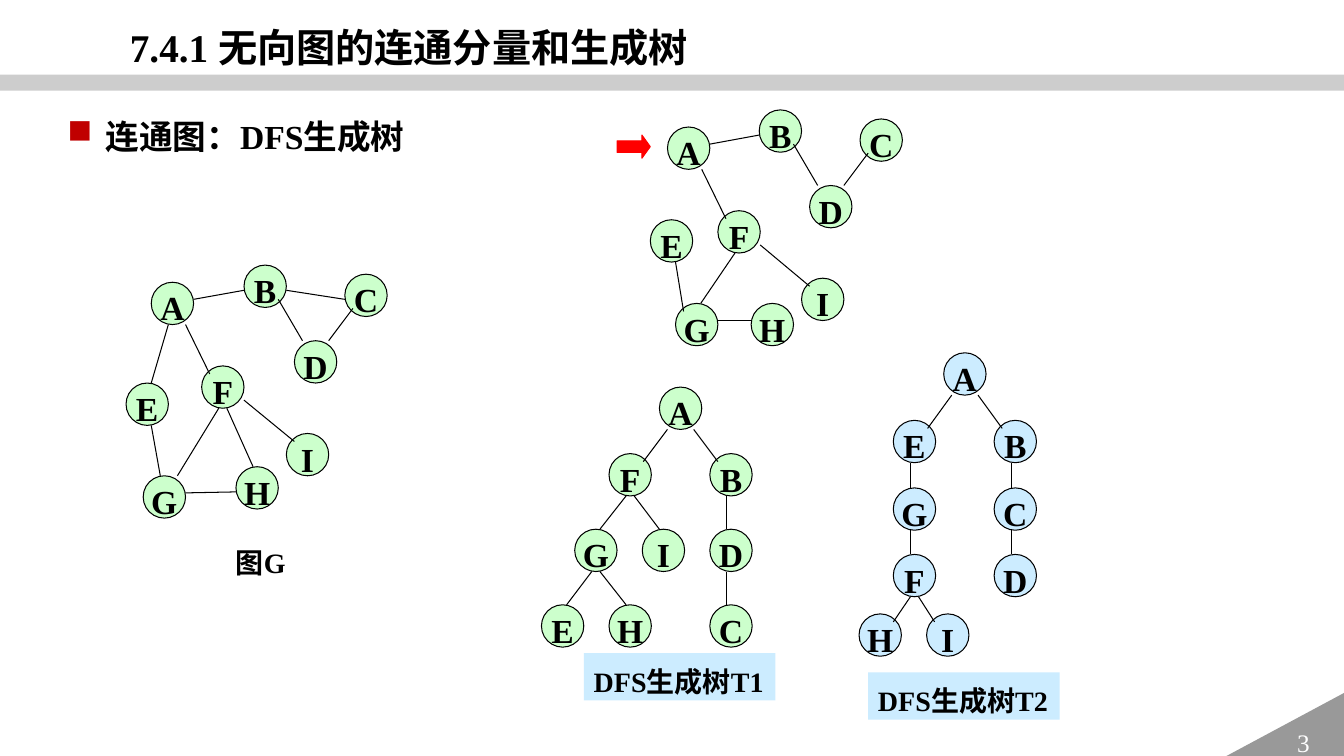
from dataclasses import dataclass
from typing import NamedTuple

import lxml.etree
import pptx
import pptx.dml.color
import pptx.enum.shapes
import pptx.enum.text
import pptx.oxml
import pptx.oxml.ns
import pptx.util

RGB = pptx.dml.color.RGBColor
KIND = pptx.enum.shapes.MSO_SHAPE
ALIGN = pptx.enum.text.PP_ALIGN
ANCHOR = pptx.enum.text.MSO_ANCHOR

BLACK = RGB(0x00, 0x00, 0x00)
WHITE = RGB(0xFF, 0xFF, 0xFF)
RED = RGB(0xFF, 0x00, 0x00)
GREEN = RGB(0xCC, 0xFF, 0xCC)
BLUE = RGB(0xCC, 0xEC, 0xFF)
BAND = RGB(0xA6, 0xA6, 0xA6)
GRAY = RGB(0x99, 0x99, 0x99)
FONT = "Times New Roman"
SCALE = 9144  # EMU in one px, 100 px to the inch
NODE = 42  # diameter of a node
STEPS = 5  # steps of the port grid across a node


class Edge(NamedTuple):
    """A line from one node to another; ports are grid steps in each node."""
    tail: str
    out: tuple[int, int]
    head: str
    into: tuple[int, int]


@dataclass
class Graph:
    fill: RGB
    nodes: dict[str, tuple[int, int]]
    edges: list[Edge]


class Label(NamedTuple):
    text: str
    box: tuple[int, int, int, int]
    size: int
    fill: RGB | None = None


# Edges found in both the graph and its spanning tree
SHARED = [
    Edge("A", (5, 2), "B", (0, 3)), Edge("A", (4, 5), "F", (1, 1)),
    Edge("D", (1, 0), "B", (4, 4)), Edge("D", (4, 0), "C", (1, 4)),
    Edge("F", (5, 4), "I", (1, 1)),
]

GRAPHS = [
    # Graph G
    Graph(GREEN, {
        "A": (150, 280), "B": (242, 263), "C": (342, 272),
        "D": (292, 338), "E": (125, 380), "F": (200, 363),
        "G": (142, 472), "H": (234, 463), "I": (284, 430),
    }, SHARED + [
        Edge("C", (0, 3), "B", (5, 3)), Edge("A", (2, 5), "E", (3, 0)),
        Edge("E", (3, 5), "G", (2, 0)), Edge("G", (5, 2), "H", (0, 3)),
        Edge("G", (4, 0), "F", (2, 5)), Edge("H", (2, 0), "F", (3, 5)),
    ]),
    # Search path through G
    Graph(GREEN, {
        "A": (662, 126), "B": (753, 109), "C": (853, 118),
        "D": (803, 184), "E": (645, 218), "F": (712, 209),
        "G": (670, 301), "H": (745, 301), "I": (795, 276),
    }, SHARED + [
        Edge("E", (3, 5), "G", (1, 1)), Edge("G", (3, 0), "F", (2, 5)),
        Edge("G", (5, 2), "H", (0, 2)),
    ]),
    # Tree T1
    Graph(GREEN, {
        "A": (654, 384), "F": (604, 450), "B": (704, 450),
        "G": (570, 525), "I": (637, 525), "D": (704, 525),
        "E": (537, 600), "H": (604, 600), "C": (704, 600),
    }, [
        Edge("A", (1, 5), "F", (4, 1)), Edge("A", (4, 5), "B", (1, 1)),
        Edge("F", (2, 5), "G", (3, 0)), Edge("F", (3, 5), "I", (2, 0)),
        Edge("G", (2, 5), "E", (3, 0)), Edge("G", (3, 5), "H", (2, 0)),
        Edge("B", (2, 5), "D", (2, 0)), Edge("D", (2, 5), "C", (2, 0)),
    ]),
    # Tree T2
    Graph(BLUE, {
        "A": (936, 350), "E": (886, 417), "B": (986, 417),
        "G": (886, 484), "C": (986, 484), "F": (886, 550),
        "D": (986, 550), "H": (852, 609), "I": (919, 609),
    }, [
        Edge("A", (1, 5), "E", (4, 1)), Edge("A", (4, 5), "B", (1, 1)),
        Edge("E", (2, 5), "G", (2, 0)), Edge("G", (2, 5), "F", (2, 0)),
        Edge("F", (2, 5), "H", (4, 1)), Edge("F", (3, 5), "I", (1, 1)),
        Edge("B", (2, 5), "C", (2, 0)), Edge("C", (2, 5), "D", (2, 0)),
    ]),
]

TITLE = Label("7.4.1 无向图的连通分量和生成树", (119, 9, 621, 62), 28)
TOPIC = Label("连通图：DFS生成树", (57, 102, 970, 54), 24)
NAMES = [
    Label("图G", (224, 530, 70, 47), 20),
    Label("DFS生成树T1", (579, 648, 190, 47), 20, BLUE),
    Label("DFS生成树T2", (861, 667, 190, 47), 20, BLUE),
]


def px(num: int) -> pptx.util.Emu:
    return pptx.util.Emu(num * SCALE)


def sub(node, tag: str, **attrs: str):
    """Add a child element with the given attributes."""
    return lxml.etree.SubElement(node, pptx.oxml.ns.qn(tag), attrs)


def shape(slide, kind, box: tuple[int, ...], fill: RGB, line: RGB | None = None):
    item = slide.shapes.add_shape(kind, *map(px, box))
    item.shadow.inherit = False
    item.fill.solid()
    item.fill.fore_color.rgb = fill
    if line is None:
        item.line.fill.background()
    else:
        item.line.color.rgb = line
        item.line.width = pptx.util.Pt(0.75)
    return item


def write(item, text: str, size: int, color: RGB = BLACK, bold: bool = True,
          align=ALIGN.LEFT, anchor=ANCHOR.TOP, wrap: bool = True, space: float = 1.2):
    frame = item.text_frame
    frame.word_wrap = wrap
    frame.vertical_anchor = anchor
    para = frame.paragraphs[0]
    para.alignment = align
    para.line_spacing = space
    run = para.add_run()
    run.text = text
    run.font.name = FONT
    run.font.size = pptx.util.Pt(size)
    run.font.bold = bold
    run.font.color.rgb = color
    return para


def label(slide, spec: Label):
    if spec.fill is None:
        item = slide.shapes.add_textbox(*map(px, spec.box))
    else:
        item = shape(slide, KIND.RECTANGLE, spec.box, spec.fill)
    return write(item, spec.text, spec.size)


def port(spot: tuple[int, int], step: tuple[int, int]) -> list[pptx.util.Emu]:
    return [px(at + round(num * NODE / STEPS)) for at, num in zip(spot, step)]


def draw(slide, graph: Graph) -> None:
    for name, spot in graph.nodes.items():
        node = shape(slide, KIND.OVAL, (*spot, NODE, NODE), graph.fill, BLACK)
        write(node, name, 24, align=ALIGN.CENTER, anchor=ANCHOR.MIDDLE, wrap=False)
    for edge in graph.edges:
        line = slide.shapes.add_connector(
            pptx.enum.shapes.MSO_CONNECTOR.STRAIGHT,
            *port(graph.nodes[edge.tail], edge.out),
            *port(graph.nodes[edge.head], edge.into))
        line.line.color.rgb = BLACK
        line.line.width = pptx.util.Pt(0.75)
        sub(line._element.spPr, "a:effectLst")


def main() -> None:
    deck = pptx.Presentation()
    deck.slide_width, deck.slide_height = px(1333), px(750)
    slide = deck.slides.add_slide(deck.slide_layouts[6])

    # Band under the title and page corner
    band = shape(slide, KIND.RECTANGLE, (0, 74, 1333, 16), BAND)
    sub(band._element.spPr.find(".//" + pptx.oxml.ns.qn("a:srgbClr")),
        "a:alpha", val="56000")
    page = shape(slide, KIND.RIGHT_TRIANGLE, (1211, 687, 123, 66), GRAY)
    page._element.spPr.xfrm.set("flipH", "1")
    write(page, "3", 18, WHITE, False, ALIGN.CENTER, ANCHOR.MIDDLE, space=1.0)

    # Graphs, their names and the start arrow
    for graph in GRAPHS:
        draw(slide, graph)
    for name in NAMES:
        label(slide, name)
    arrow = shape(slide, KIND.RIGHT_ARROW, (612, 134, 33, 23), RED, RED)
    arrow.adjustments[1] = 0.36

    # Title and bulleted topic
    label(slide, TITLE)
    props = label(slide, TOPIC)._p.get_or_add_pPr()
    props.set("marL", str(px(38)))
    props.set("indent", str(px(-38)))
    sub(sub(props, "a:buClr"), "a:srgbClr", val="C00000")
    sub(props, "a:buChar", char="■")

    deck.save("out.pptx")


if __name__ == "__main__":
    main()
